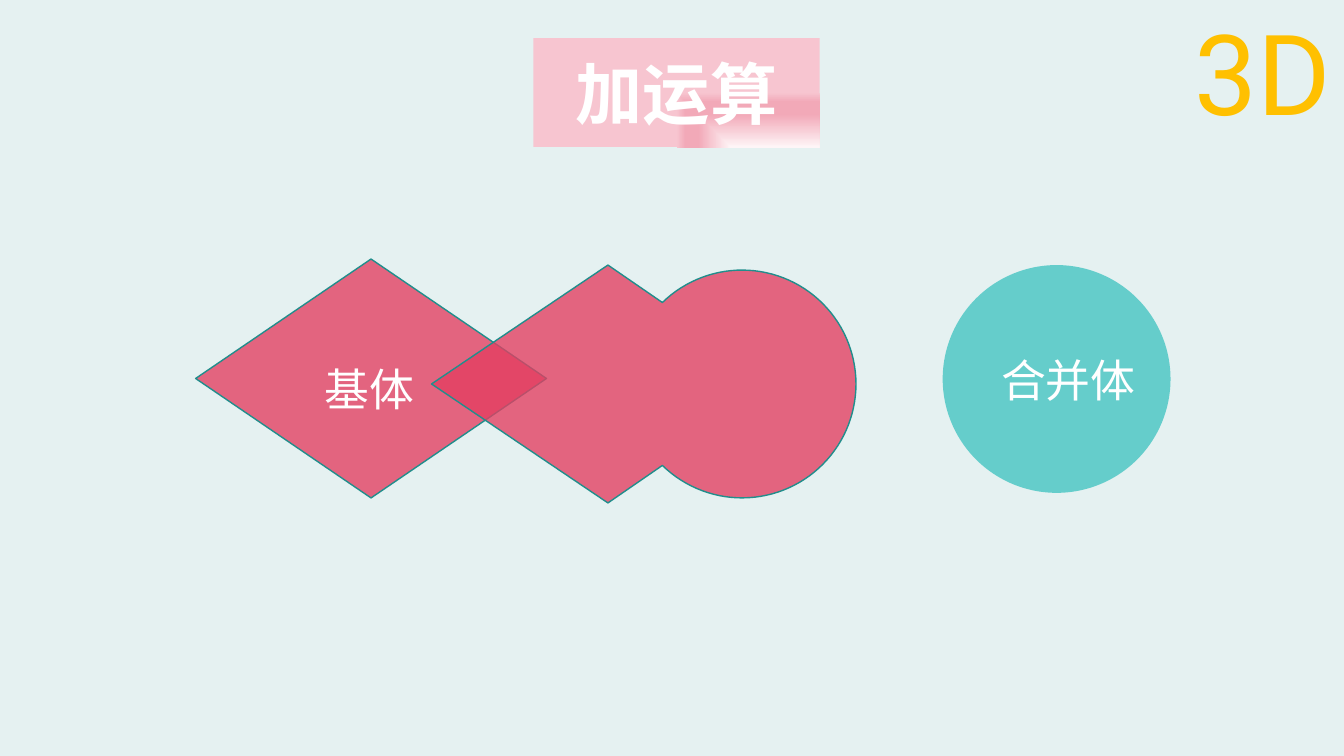
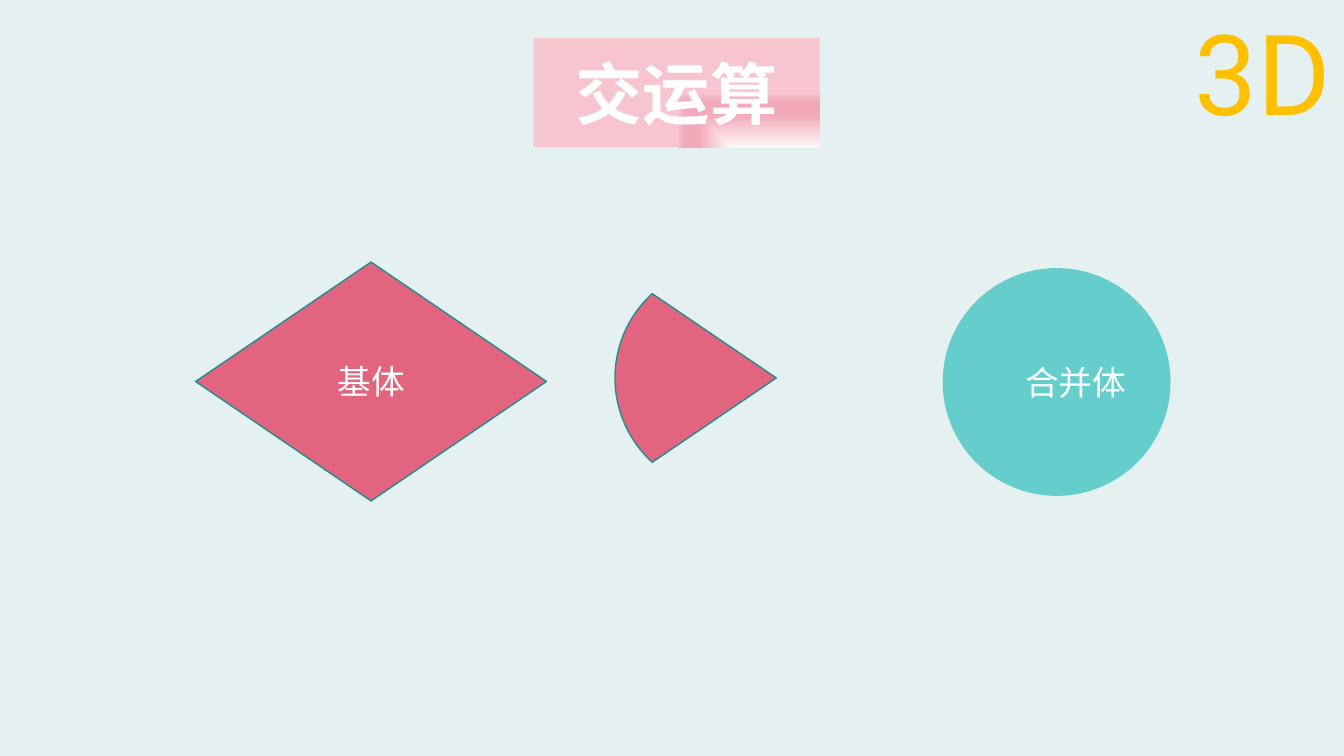
from math import acos, cos, pi, sin

from pptx import Presentation
from pptx.dml.color import RGBColor
from pptx.enum.shapes import MSO_SHAPE as SHAPE
from pptx.enum.text import MSO_ANCHOR as ANCHOR, MSO_AUTO_SIZE as AUTO, PP_ALIGN as ALIGN
from pptx.oxml import parse_xml
from pptx.oxml.ns import nsdecls, qn
from pptx.util import Inches, Pt

MINT, WHITE, GOLD = "E5F1F1", "FFFFFF", "FFC000"
ROSE, AQUA, TEAL = "E33F61", "2CBEBB", "218E8C"
TITLE_STOPS = [(0, "FEF5F7"), (60, "F2A9B8"), (83, "F2A9B8"), (100, "F7C5D0")]
TITLE_BOX = (5.29, 0.38, 2.84, 1.08)
MARK_BOX = (11.75, -0.41, 1.69, 1.85)
DIAMOND_SIZE = (3.48, 2.37)
CIRCLE_SIZE = (2.26, 2.26)
RADIUS = 1.13


def rgb(color):
    """Turn a hex string into a colour."""
    return RGBColor.from_string(color)


def write(tf, text, size, font, color=WHITE, bold=False, align=None, spacing=None):
    """Write one formatted paragraph into a text frame."""
    tf.word_wrap = True
    p = tf.paragraphs[0]
    p.alignment, p.line_spacing = align, spacing
    r = p.add_run()
    r.text = text
    r.font.size, r.font.name, r.font.bold = Pt(size), font, bold
    r.font.color.rgb = rgb(color)


def paint(sp, fill, opacity, line=None):
    """Give a shape a translucent fill and an optional outline."""
    sp.shadow.inherit = False
    sp.fill.solid()
    sp.fill.fore_color.rgb = rgb(fill)
    color = sp.element.spPr.find(qn("a:solidFill")).find(qn("a:srgbClr"))
    color.append(parse_xml(f'<a:alpha {nsdecls("a")} val="{opacity * 1000}"/>'))
    if line:
        sp.line.color.rgb, sp.line.width = rgb(line), Pt(1)
    else:
        sp.line.fill.background()


def add_label(s, box, text, size, font, color=WHITE):
    """Add a text box with open line spacing."""
    tf = s.shapes.add_textbox(*map(Inches, box)).text_frame
    write(tf, text, size, font, color, spacing=1.3)


def add_title(s, box, text):
    """Turn the title placeholder into the gradient plate."""
    sp = s.shapes.title
    sp.left, sp.top, sp.width, sp.height = map(Inches, box)
    stops = "".join(f'<a:gs pos="{pos * 1000}"><a:srgbClr val="{color}"/></a:gs>'
                    for pos, color in TITLE_STOPS)
    ns = nsdecls("a")
    sp.element.spPr.append(parse_xml(f'<a:prstGeom {ns} prst="roundRect"><a:avLst/></a:prstGeom>'))
    sp.element.spPr.append(parse_xml(
        f'<a:gradFill {ns} rotWithShape="1"><a:gsLst>{stops}</a:gsLst>'
        '<a:path path="rect"><a:fillToRect l="100000" t="100000"/></a:path></a:gradFill>'))
    tf = sp.text_frame
    tf.auto_size, tf.vertical_anchor = AUTO.NONE, ANCHOR.MIDDLE
    write(tf, text, 48, "Calibri", bold=True, align=ALIGN.CENTER)


def add_solid(s, kind, x, y, size, fill, opacity, line=None, text=None, indent=0.1, right=0.1):
    """Add a diamond or circle with an optional centred caption."""
    sp = s.shapes.add_shape(kind, *map(Inches, (x, y, *size)))
    paint(sp, fill, opacity, line)
    if text:
        tf = sp.text_frame
        tf.margin_left, tf.margin_right = Inches(indent), Inches(right)
        tf.vertical_anchor = ANCHOR.MIDDLE
        write(tf, text, 24, "Calibri", align=ALIGN.CENTER)


def arc(cx, cy, start, end, steps=90):
    """List points on a circle between two angles."""
    angles = [start + (end - start) * i / steps for i in range(steps + 1)]
    return [(cx + RADIUS * cos(a), cy + RADIUS * sin(a)) for a in angles]


def add_outline(s, x, y, points):
    """Draw a closed rose outline from points relative to a corner."""
    pts = [(Inches(x + dx), Inches(y + dy)) for dx, dy in points]
    builder = s.shapes.build_freeform(*pts[0])
    builder.add_line_segments(pts[1:], close=True)
    paint(builder.convert_to_shape(), ROSE, 79, TEAL)


def add_union(s, x, y):
    """Draw a diamond merged with a circle on its right."""
    half = acos(-0.79 / RADIUS)
    add_outline(s, x, y, [(0, 1.18), (1.75, 0), *arc(3.08, 1.18, -half, half), (1.75, 2.36)])


def add_intersection(s, x, y):
    """Draw the overlap of a circle and the right tip of a diamond."""
    half = acos(-0.76 / RADIUS)
    add_outline(s, x, y, [(1.6, 0.84), *arc(RADIUS, 0.84, half, 2 * pi - half)])


def add_slide(prs, title):
    """Add a slide with its title plate and corner mark."""
    s = prs.slides.add_slide(prs.slide_layouts[5])
    add_title(s, TITLE_BOX, title)
    add_label(s, MARK_BOX, "3D", 80, "Roboto", GOLD)
    return s


def add_union_slide(prs):
    """Build the slide on the union operation."""
    s = add_slide(prs, "加运算")
    add_solid(s, SHAPE.DIAMOND, 1.94, 2.57, DIAMOND_SIZE, ROSE, 79, TEAL)
    add_solid(s, SHAPE.OVAL, 9.35, 2.63, CIRCLE_SIZE, AQUA, 69)
    add_union(s, 4.28, 2.63)
    add_label(s, (3.12, 3.38, 1.13, 0.73), "基体", 32, "Arial")
    add_label(s, (9.83, 3.29, 1.91, 0.73), "合并体", 32, "Arial")


def add_intersection_slide(prs):
    """Build the slide on the intersection operation."""
    s = add_slide(prs, "交运算")
    add_solid(s, SHAPE.DIAMOND, 1.94, 2.6, DIAMOND_SIZE, ROSE, 79, TEAL, "基体")
    add_solid(s, SHAPE.OVAL, 9.35, 2.66, CIRCLE_SIZE, AQUA, 69, text="合并体", indent=0.38, right=0)
    add_intersection(s, 6.1, 2.91)


def main():
    """Build and save the presentation."""
    prs = Presentation()
    prs.slide_width, prs.slide_height = Inches(13.33), Inches(7.5)
    fill = prs.slide_master.background.fill
    fill.solid()
    fill.fore_color.rgb = rgb(MINT)
    add_union_slide(prs)
    add_intersection_slide(prs)
    prs.save("out.pptx")


if __name__ == "__main__":
    main()
